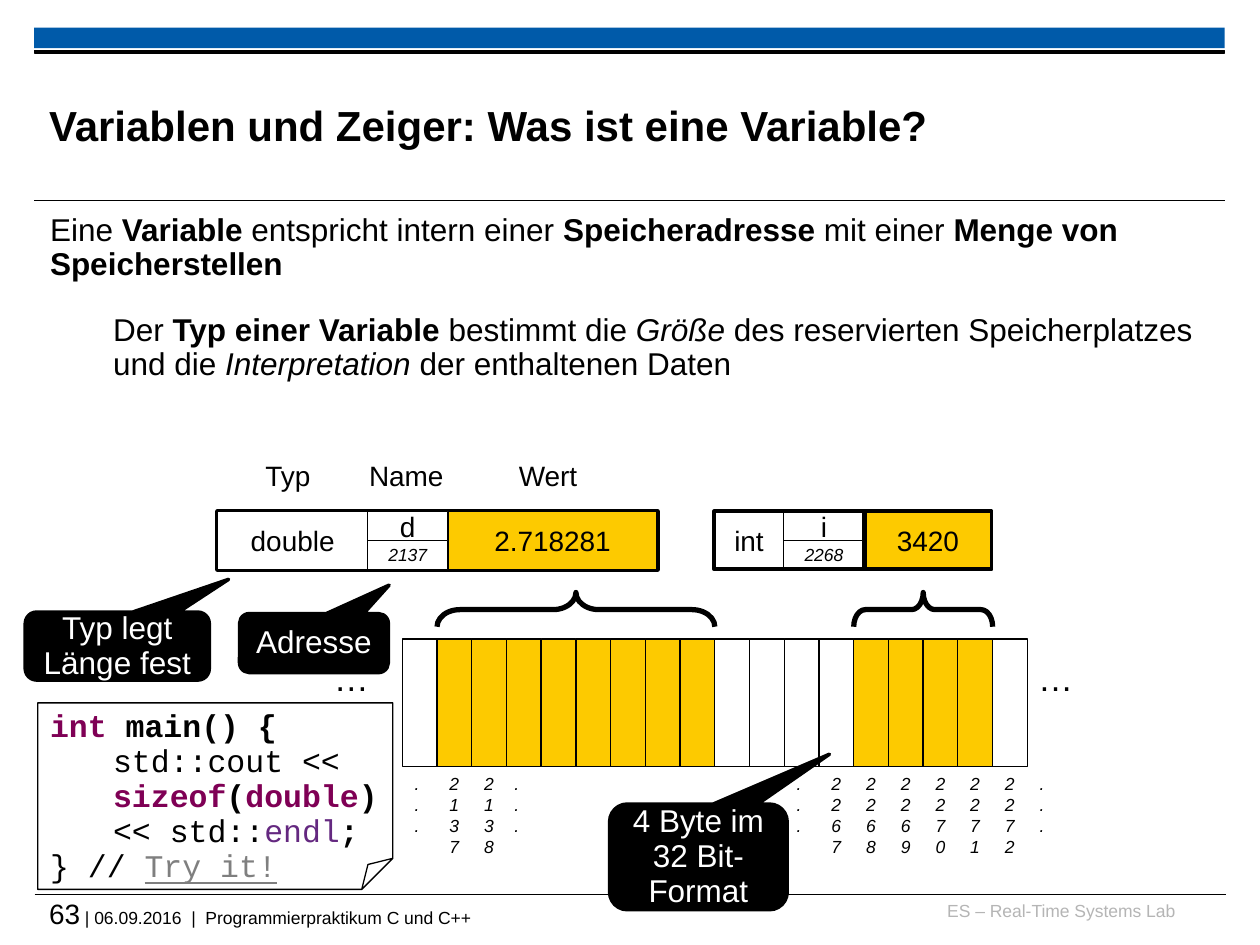
from lxml import etree
from pptx import Presentation
from pptx import util as u
from pptx.dml.color import RGBColor
from pptx.enum import shapes, text
from pptx.oxml.ns import qn

BLACK = RGBColor(0x00, 0x00, 0x00)
WHITE = RGBColor(0xFF, 0xFF, 0xFF)
BLUE = RGBColor(0x00, 0x5A, 0xA9)
YELLOW = RGBColor(0xFD, 0xCA, 0x00)
LIGHT_GRAY = RGBColor(0xB5, 0xB5, 0xB5)
GRAY = RGBColor(0x7F, 0x7F, 0x7F)
KEYWORD = RGBColor(0x7F, 0x00, 0x55)
PURPLE = RGBColor(0x64, 0x28, 0x80)

KINDS = shapes.MSO_SHAPE
LEFT, CENTER, RIGHT = text.PP_ALIGN.LEFT, text.PP_ALIGN.CENTER, text.PP_ALIGN.RIGHT
TOP, MIDDLE = text.MSO_ANCHOR.TOP, text.MSO_ANCHOR.MIDDLE
BOLD, ITALIC = {"bold": True}, {"italic": True}

TITLE = "Variablen und Zeiger: Was ist eine Variable?"
BODY = [
    ["Eine ", ("Variable ", BOLD), "entspricht intern einer ", ("Speicheradresse", BOLD),
     " mit einer ", ("Menge von Speicherstellen", BOLD)],
    ["Der ", ("Typ einer Variable ", BOLD), "bestimmt die ", ("Größe", ITALIC),
     " des reservierten Speicherplatzes und die ", ("Interpretation", ITALIC),
     " der enthaltenen Daten"],
]
KEY = {"bold": True, "color": KEYWORD}
CODE = [
    [("int ", KEY), ("main() {", BOLD)],
    ["std::cout <<"],
    [("sizeof", KEY), ("(", BOLD), ("double", KEY), (")", BOLD)],
    ["<< std::", ("endl", {"color": PURPLE}), (";", BOLD)],
    ["} // ", ("Try it!", {"color": GRAY, "underline": True})],
]
FOOTER = [[("63", {"size": 16}), " | 06.09.2016  |  Programmierpraktikum C und C++"]]
LAB = "ES – Real-Time Systems Lab"

HEADINGS = [("Typ", 5.1, 1.68), ("Name", 7.19, 2.36), ("Wert", 10.21, 1.98)]
RECORDS = [
    (4.39, "double", 3.02, "d", "2137", "2.718281", 4.22, 1),
    (14.4, "int", 1.4, "i", "2268", "3420", 2.57, 0.25),
]
NAME_WIDTH, RECORD_TOP, RECORD_HEIGHT = 1.62, 10.31, 1.17

CELL_LEFT, CELL_TOP, CELL_WIDTH, CELL_HEIGHT = 8.11, 12.88, 0.7, 2.57
CELL_COUNT = 18
VALUES = [(1, 8, 0.67), (13, 4, 0.34)]
BRACE_MIDDLE, BRACE_DEPTH = 12.29, 0.69
ADDRESSES = [(0, "..."), (1, "2137"), (2, "2138"), (2.87, "..."), (11, "...")]
ADDRESSES += [(12 + step, str(2267 + step)) for step in range(6)] + [(18, "...")]
ELLIPSES = [6.48, 20.68]

CALLOUTS = [
    ("4 Byte im 32 Bit-Format", (12.29, 16.21, 3.58, 2.13), (0.738, -0.972, 0.167)),
    ("Adresse", (4.83, 12.37, 3.0, 1.19), (0.505, -0.982, 0.167)),
    ("Typ legt Länge fest", (0.51, 12.34, 3.71, 1.37), (0.605, -0.982, 0.167)),
]


def write(shape, content, size=16, font="Arial", color=BLACK, bold=False, italic=False,
          align=LEFT, anchor=TOP, wrap=True, spacing=None, padding=None, indents=(), gap=0):
    frame = shape.text_frame
    frame.word_wrap = wrap
    frame.vertical_anchor = anchor
    if padding is not None:
        frame.margin_left = frame.margin_right = u.Cm(padding)
        frame.margin_top = frame.margin_bottom = u.Cm(padding)
    lines = [[content]] if isinstance(content, str) else content
    for number, line in enumerate(lines):
        para = frame.add_paragraph() if number else frame.paragraphs[0]
        para.alignment = align
        if spacing:
            para.line_spacing = spacing
        if number and gap:
            para.space_before = u.Pt(gap)
        if number in indents:
            para._p.get_or_add_pPr().set("marL", str(u.Cm(1.27)))
        for part in line:
            words, change = (part, {}) if isinstance(part, str) else part
            span = para.add_run()
            span.text = words
            span.font.name = font
            span.font.size = u.Pt(change.get("size", size))
            span.font.bold = change.get("bold", bold)
            span.font.italic = change.get("italic", italic)
            span.font.underline = change.get("underline", False)
            span.font.color.rgb = change.get("color", color)


def add_box(page, area, kind=KINDS.RECTANGLE, fill=None, line=None):
    box = page.shapes.add_shape(kind, *map(u.Cm, area))
    box.shadow.inherit = False
    if fill is None:
        box.fill.background()
    else:
        box.fill.solid()
        box.fill.fore_color.rgb = fill
    if line is None:
        box.line.fill.background()
    else:
        box.line.color.rgb = BLACK
        box.line.width = u.Pt(line)
    return box


def add_label(page, area, content, **style):
    write(page.shapes.add_textbox(*map(u.Cm, area)), content, **style)


def add_rule(page, start, end, width):
    rule = page.shapes.add_connector(shapes.MSO_CONNECTOR.STRAIGHT, *map(u.Cm, start + end))
    rule.line.color.rgb = BLACK
    rule.line.width = u.Pt(width)
    etree.SubElement(rule._element.spPr, qn("a:effectLst"))


def add_page_frame(page):
    add_rule(page, (0.7, 18.03), (24.71, 18.03), 0.6)
    add_box(page, (0.69, 0.56, 24, 0.41), fill=BLUE)
    add_rule(page, (0.69, 4.04), (24.69, 4.04), 0.6)
    add_box(page, (0.69, 1.02, 24, 0.05), fill=BLACK, line=0.75)
    add_label(page, (18.69, 18.14, 5, 0.64), LAB, size=10, color=LIGHT_GRAY, align=RIGHT, padding=0)
    add_label(page, (0.99, 18.08, 23.7, 0.84), FOOTER, size=10, padding=0)
    title = page.shapes.title
    title.left, title.top, title.width, title.height = map(u.Cm, (0.99, 1.35, 19.1, 2.34))
    write(title, TITLE, size=24, bold=True, anchor=MIDDLE, padding=0)


def add_record(page, left, kind, kind_width, name, address, value, value_width, value_line):
    name_left = left + kind_width
    value_left = name_left + NAME_WIDTH
    half = RECORD_HEIGHT / 2
    small = {"size": 10, "italic": True}
    fields = [
        (kind, left, 0, kind_width, RECORD_HEIGHT, WHITE, 0.75, {}),
        (value, value_left, 0, value_width, RECORD_HEIGHT, YELLOW, value_line, {}),
        (name, name_left, 0, NAME_WIDTH, half, WHITE, 0.75, {}),
        (address, name_left, half, NAME_WIDTH, half, WHITE, 0.75, small),
    ]
    for words, x, offset, width, height, fill, line, style in fields:
        box = add_box(page, (x, RECORD_TOP + offset, width, height), fill=fill, line=line)
        write(box, words, align=CENTER, anchor=MIDDLE, wrap=False, **style)


def add_memory(page):
    used = {first + step for first, count, _ in VALUES for step in range(count)}
    for index in range(CELL_COUNT):
        area = (CELL_LEFT + index * CELL_WIDTH, CELL_TOP, CELL_WIDTH, CELL_HEIGHT)
        add_box(page, area, fill=YELLOW if index in used else WHITE, line=0.75)
    for first, count, curve in VALUES:
        length = count * CELL_WIDTH
        center = CELL_LEFT + first * CELL_WIDTH + length / 2
        area = (center - BRACE_DEPTH / 2, BRACE_MIDDLE - length / 2, BRACE_DEPTH, length)
        brace = add_box(page, area, KINDS.LEFT_BRACE, line=3)
        brace.adjustments[0] = curve
        brace.rotation = 90
    for column, digits in ADDRESSES:
        area = (CELL_LEFT + column * CELL_WIDTH, CELL_TOP + CELL_HEIGHT, 0.7, 0.25 + 0.42 * len(digits))
        add_label(page, area, [[digit] for digit in digits], size=10, italic=True, wrap=False)
    for left in ELLIPSES:
        add_label(page, (left, 13.11, 1.42, 1.3), "…", size=20, wrap=False)


def main():
    deck = Presentation()
    deck.slide_width, deck.slide_height = u.Cm(25.4), u.Cm(19.05)
    page = deck.slides.add_slide(deck.slide_layouts[5])
    add_page_frame(page)
    add_memory(page)
    add_box(page, (4.39, RECORD_TOP, 8.86, RECORD_HEIGHT), fill=YELLOW, line=3)
    for record in RECORDS:
        add_record(page, *record)
    add_rule(page, (17.42, RECORD_TOP), (17.42, RECORD_TOP + RECORD_HEIGHT), 3)
    add_box(page, (14.4, RECORD_TOP, 5.59, RECORD_HEIGHT), line=2.25)
    for heading, left, width in HEADINGS:
        add_label(page, (left, 9.12, width, 1.09), heading, wrap=False)
    add_label(page, (0.76, 4.19, 23.95, 4.45), BODY, size=18, spacing=0.9, indents=(1,), gap=18.6)
    for words, area, shape_values in CALLOUTS:
        callout = add_box(page, area, KINDS.ROUNDED_RECTANGULAR_CALLOUT, fill=BLACK, line=2)
        for index, amount in enumerate(shape_values):
            callout.adjustments[index] = amount
        write(callout, words, size=18, color=WHITE, align=CENTER, anchor=MIDDLE, spacing=0.93)
    note = add_box(page, (0.76, 14.17, 7.16, 3.76), KINDS.FOLDED_CORNER, line=0.75)
    write(note, CODE, size=18, font="Courier New", spacing=0.93, indents=(1, 2, 3))
    deck.save("out.pptx")


if __name__ == "__main__":
    main()
